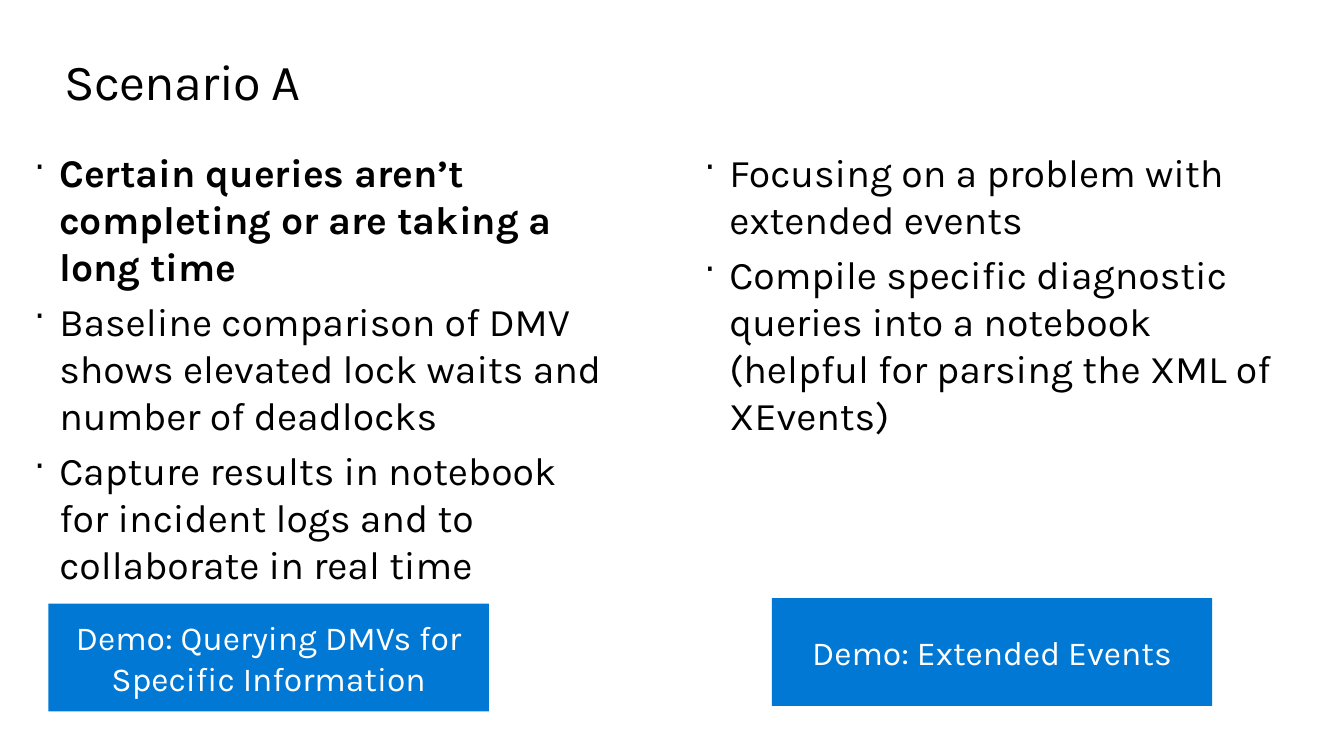
import pptx
import pptx.dml.color
import pptx.enum.shapes
import pptx.enum.text
import pptx.util
from lxml import etree
from pptx.oxml.ns import qn

Cm = pptx.util.Cm
Pt = pptx.util.Pt
Align = pptx.enum.text.PP_ALIGN
Anchor = pptx.enum.text.MSO_ANCHOR
AutoSize = pptx.enum.text.MSO_AUTO_SIZE

INDENT = Cm(0.635)
BLACK, WHITE, BLUE = "000000", "FFFFFF", "0078D4"

SYMPTOMS = [
    ("Certain queries aren’t completing or are taking a long time", True),
    ("Baseline comparison of DMV shows elevated lock waits and number of deadlocks", False),
    ("Capture results in notebook for incident logs and to collaborate in real time", False),
]
RESPONSES = [
    ("Focusing on a problem with extended events", False),
    ("Compile specific diagnostic queries into a notebook "
     "(helpful for parsing the XML of XEvents)", False),
]


def colour(hex_string):
    return pptx.dml.color.RGBColor.from_string(hex_string)


def set_all(target, values):
    for name, value in values.items():
        setattr(target, name, value)


def format_frame(frame, anchor=Anchor.TOP, auto_size=AutoSize.SHAPE_TO_FIT_TEXT):
    set_all(frame, {
        "margin_left": 0, "margin_top": 0, "margin_right": 0, "margin_bottom": 0,
        "word_wrap": True, "vertical_anchor": anchor, "auto_size": auto_size,
    })


def write_span(para, text, size, hex_string, bold=False):
    span = para.add_run()
    span.text = text
    set_all(span.font, {"name": "Karla", "size": Pt(size), "bold": bold})
    span.font.color.rgb = colour(hex_string)
    return span


def add_bullet(para):
    """Give the paragraph a hanging dot at 90% of the text size."""
    properties = para._p.get_or_add_pPr()
    properties.set("marL", str(INDENT))
    properties.set("indent", str(-INDENT))
    etree.SubElement(properties, qn("a:buSzPct"), val="90000")
    etree.SubElement(properties, qn("a:buChar"), char="·")


def place_title(page, box, text):
    title = page.shapes.title
    set_all(title, dict(zip(("left", "top", "width", "height"), box)))
    format_frame(title.text_frame)
    para = title.text_frame.paragraphs[0]
    para.alignment = Align.LEFT
    span = write_span(para, text, 36, BLACK)
    span.font._element.set("spc", "-50")


def place_bullets(page, box, items):
    frame = page.shapes.add_textbox(*box).text_frame
    format_frame(frame)
    for index, (text, bold) in enumerate(items):
        para = frame.add_paragraph() if index else frame.paragraphs[0]
        para.space_before = Pt(5.6)
        add_bullet(para)
        write_span(para, text, 28, BLACK, bold)


def place_demo(page, box, text):
    banner = page.shapes.add_shape(pptx.enum.shapes.MSO_SHAPE.RECTANGLE, *box)
    banner.shadow.inherit = False
    banner.fill.solid()
    banner.fill.fore_color.rgb = colour(BLUE)
    banner.line.fill.background()
    format_frame(banner.text_frame, Anchor.MIDDLE, AutoSize.NONE)
    para = banner.text_frame.paragraphs[0]
    para.alignment = Align.CENTER
    write_span(para, text, 24, WHITE)


def build_scenario(page):
    place_title(page, (Cm(1.63), Cm(1.27), Cm(30.6), Cm(1.55)), "Scenario A")
    column_top, column_width = Cm(3.73), Cm(14.49)
    place_bullets(page, (Cm(0.86), column_top, column_width, Cm(12.67)), SYMPTOMS)
    place_bullets(page, (Cm(17.75), column_top, column_width, Cm(7.42)), RESPONSES)
    demo_size = Cm(11.1), Cm(2.72)
    place_demo(page, (Cm(1.22), Cm(15.21), *demo_size),
               "Demo: Querying DMVs for Specific Information")
    place_demo(page, (Cm(19.45), Cm(15.07), *demo_size), "Demo: Extended Events")


def main():
    deck = pptx.Presentation()
    set_all(deck, {"slide_width": Cm(33.87), "slide_height": Cm(19.05)})
    build_scenario(deck.slides.add_slide(deck.slide_layouts[5]))
    deck.save("out.pptx")


if __name__ == "__main__":
    main()
